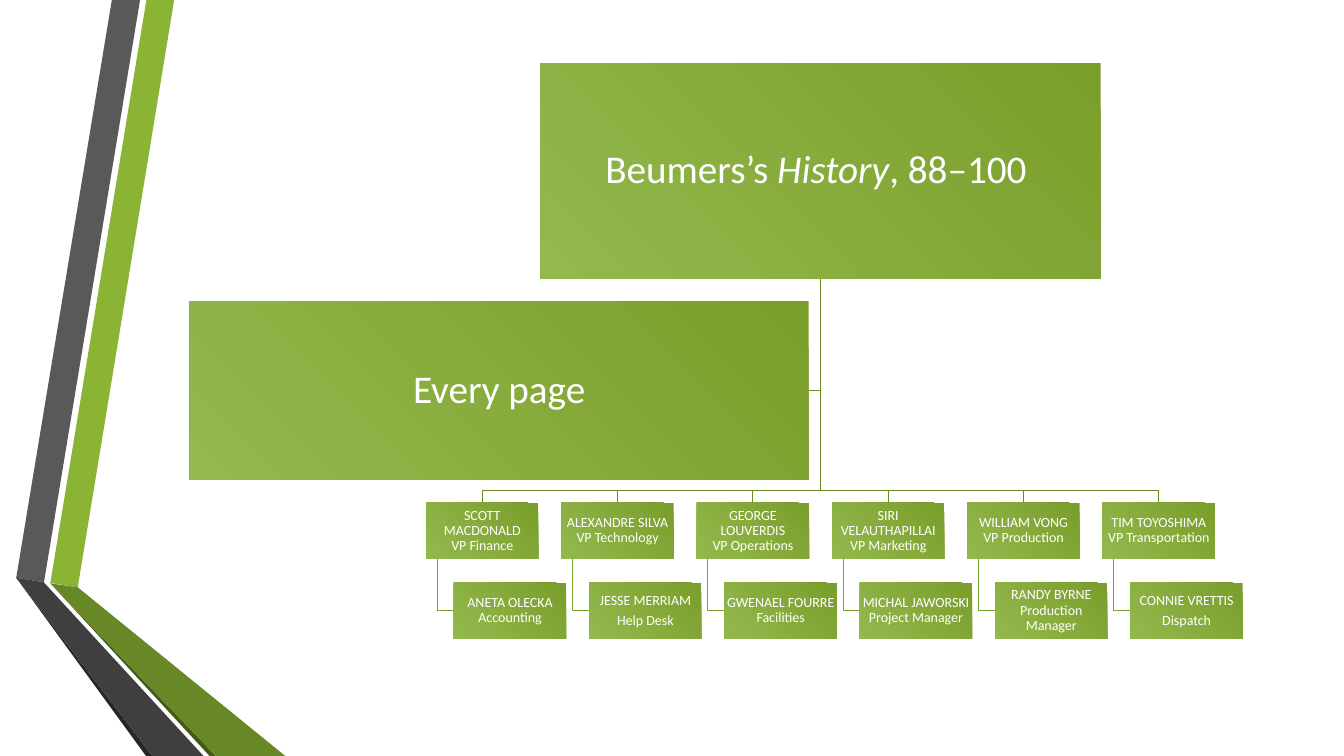
from lxml import etree
from pptx import Presentation
from pptx.dml.color import RGBColor
from pptx.enum.shapes import MSO_SHAPE
from pptx.enum.text import MSO_ANCHOR, PP_ALIGN
from pptx.oxml import parse_xml
from pptx.oxml.ns import nsdecls, qn
from pptx.util import Cm, Pt


def outline(points, color, closed):
    corners = [(Cm(x), Cm(y)) for x, y in points]
    builder = slide.shapes.build_freeform(*corners[0])
    builder.add_line_segments(corners[1:], close=closed)
    shape = builder.convert_to_shape()
    shape.shadow.inherit = False
    if closed:
        shape.fill.solid()
        shape.fill.fore_color.rgb = RGBColor.from_string(color)
        shape.line.fill.background()
    else:
        shape.fill.background()
        shape.line.color.rgb = RGBColor.from_string(color)
        shape.line.width = Pt(0.75)


def card(left, top, width, height, paragraphs, size, inset):
    shape = slide.shapes.add_shape(MSO_SHAPE.RECTANGLE, Cm(left), Cm(top), Cm(width), Cm(height))
    shape.shadow.inherit = False
    shape.line.fill.background()
    shape.fill.gradient()
    for stop, color, position in zip(shape.fill.gradient_stops, ("93B94D", "7A9E2B"), (0, 1)):
        stop.color.rgb = RGBColor.from_string(color)
        stop.position = position
    gradient = shape._element.spPr.find(qn("a:gradFill"))
    gradient.remove(gradient.find(qn("a:lin")))
    radial = parse_xml(f'<a:path {nsdecls("a")} path="circle"/>')
    etree.SubElement(radial, qn("a:fillToRect"), t="100000", r="100000")
    gradient.find(qn("a:gsLst")).addnext(radial)
    frame = shape.text_frame
    frame.word_wrap = True
    frame.vertical_anchor = MSO_ANCHOR.MIDDLE
    frame.margin_left = frame.margin_right = frame.margin_top = frame.margin_bottom = Cm(inset)
    for index, lines in enumerate(paragraphs):
        paragraph = frame.add_paragraph() if index else frame.paragraphs[0]
        for number, line in enumerate(lines):
            if number:
                paragraph.add_line_break()
            for part, text in enumerate(line.split("*")):
                run = paragraph.add_run()
                run.text = text
                if part % 2:
                    run.font.italic = True
        paragraph.alignment = PP_ALIGN.CENTER
        paragraph.line_spacing = 0.9
        if index:
            paragraph.space_before = Pt(3.5)
        paragraph.font.name = "Calibri"
        paragraph.font.size = Pt(size)
        paragraph.font.color.rgb = RGBColor.from_string("FFFFFF")


deck = Presentation()
deck.slide_width, deck.slide_height = Cm(33.87), Cm(19.05)
slide = deck.slides.add_slide(deck.slide_layouts[6])

ribbons = [
    ("8BB434", [(1.27, 14.69), (1.96, 14.8), (4.39, 0), (3.69, 0)]),
    ("595959", [(3.53, 0), (2.82, 0), (0.41, 14.56), (1.11, 14.67)]),
    ("262626", [(0.41, 14.56), (3.68, 19.05), (3.84, 19.05)]),
    ("455A19", [(1.27, 14.7), (5.28, 19.05), (5.44, 19.05)]),
    ("688726", [(1.27, 14.7), (5.44, 19.05), (7.19, 19.05), (1.96, 14.8)]),
    ("3F3F3F", [(5.13, 19.05), (1.22, 14.8), (1.1, 14.67), (0.41, 14.56), (3.84, 19.05)]),
]
for color, points in ribbons:
    outline(points, color, True)

branches = [
    ([["SCOTT MACDONALD", "VP Finance"]], [["ANETA OLECKA", "Accounting"]]),
    ([["ALEXANDRE SILVA", "VP Technology"]], [["JESSE MERRIAM"], ["Help Desk"]]),
    ([["GEORGE LOUVERDIS", "VP Operations"]], [["GWENAEL FOURRE", "Facilities"]]),
    ([["SIRI VELAUTHAPILLAI", "VP Marketing"]], [["MICHAL JAWORSKI", "Project Manager"]]),
    ([["WILLIAM VONG", "VP Production"]], [["RANDY BYRNE", "Production Manager"]]),
    ([["TIM TOYOSHIMA", "VP Transportation"]], [["CONNIE VRETTIS"], ["Dispatch"]]),
]
card_width, card_height, pitch = 2.83, 1.41, 3.41
first_left, vp_top, report_top = 10.74, 12.67, 14.68
trunk, trunk_top, bus = 20.68, 7.01, 12.37

outline([(trunk, trunk_top), (trunk, 9.84), (20.38, 9.84)], "6D8E26", False)
for column, (vp, report) in enumerate(branches):
    left = first_left + column * pitch
    middle = left + card_width / 2
    stem, report_left = left + 0.28, left + 0.7
    report_middle = report_top + card_height / 2
    outline([(trunk, trunk_top), (trunk, bus), (middle, bus), (middle, vp_top)], "6D8E26", False)
    outline([(stem, vp_top + card_height), (stem, report_middle), (report_left, report_middle)],
            "7BA22B", False)
    card(left, vp_top, card_width, card_height, vp, 10, 0.02)
    card(report_left, report_top, card_width, card_height, report, 10, 0.02)

card(13.61, 1.6, 14.13, 5.41, [["Beumers’s *History*, 88–100 "]], 28, 0.05)
card(4.78, 7.59, 15.6, 4.5, [["Every page"]], 28, 0.05)

deck.save("out.pptx")
